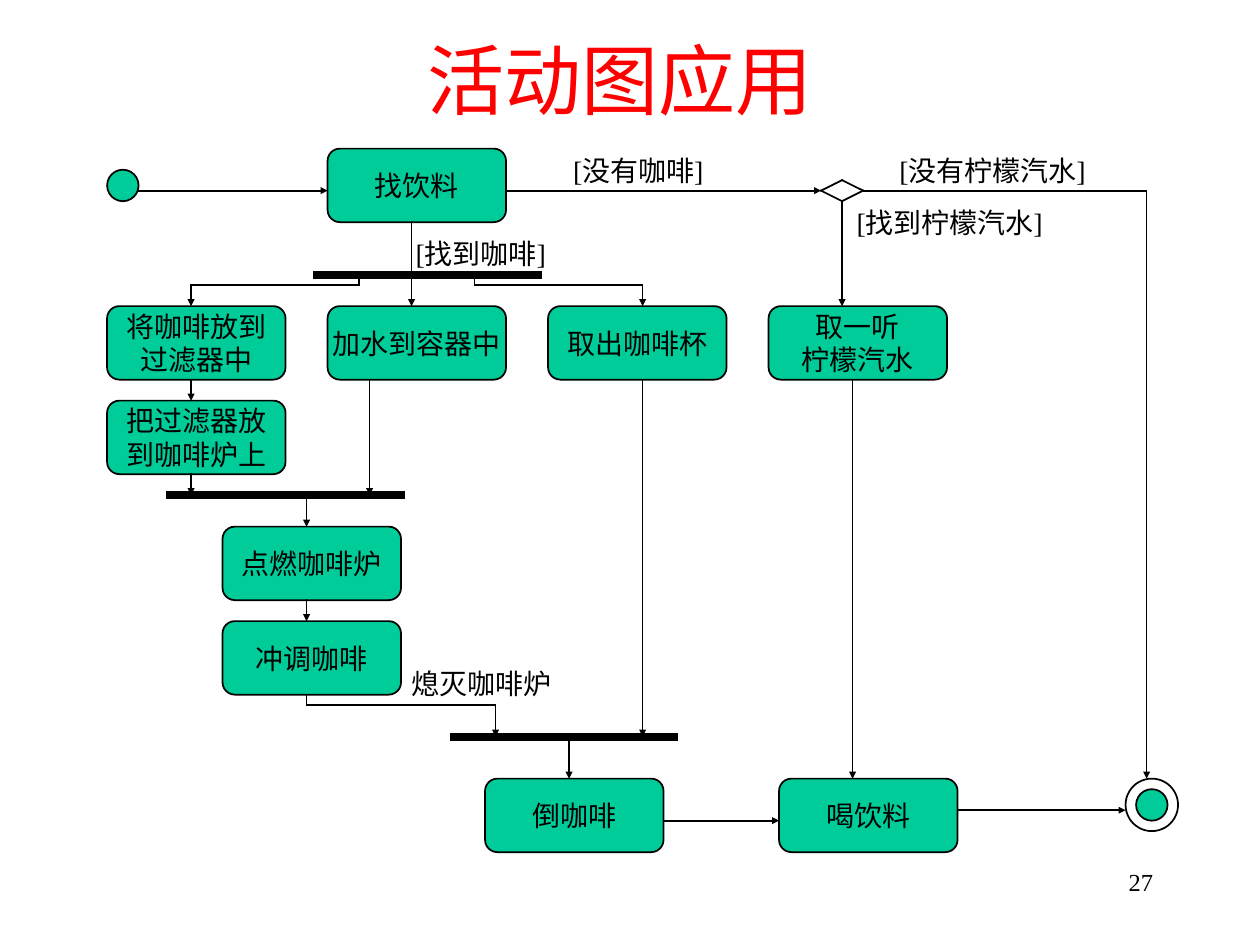
"""Build the activity diagram slide on a grid of twelfths of an inch."""
from itertools import pairwise
from lxml.etree import SubElement
from pptx import Presentation
from pptx.dml.color import RGBColor
from pptx.enum.shapes import MSO_CONNECTOR as Link, MSO_SHAPE as Shape
from pptx.enum.text import MSO_ANCHOR as Anchor, MSO_AUTO_SIZE as Fit, PP_ALIGN as Align
from pptx.oxml.ns import qn
from pptx.util import Inches, Pt

TITLE = "活动图应用"
STEPS = [
    ("找饮料", 21, 0),
    ("将咖啡放到\n过滤器中", 0, 15),
    ("加水到容器中", 21, 15),
    ("取出咖啡杯", 42, 15),
    ("取一听\n柠檬汽水", 63, 15),
    ("把过滤器放\n到咖啡炉上", 0, 24),
    ("点燃咖啡炉", 11, 36),
    ("冲调咖啡", 11, 45),
    ("倒咖啡", 36, 60),
    ("喝饮料", 64, 60),
]
BARS = [(20, 41, 12), (6, 28, 33), (33, 54, 56)]
DIAMOND = [(68, 4), (70, 3), (72, 4), (70, 5), (68, 4)]
FLOWS = [
    [(3, 4), (21, 4)],
    [(38, 4), (68, 4)],
    [(72, 4), (99, 4), (99, 60)],
    [(70, 5), (70, 15)],
    [(29, 7), (29, 15)],
    [(24, 12), (24, 13), (8, 13), (8, 15)],
    [(35, 12), (35, 13), (51, 13), (51, 15)],
    [(8, 22), (8, 24)],
    [(8, 31), (8, 33)],
    [(25, 22), (25, 33)],
    [(19, 33), (19, 36)],
    [(19, 43), (19, 45)],
    [(19, 52), (19, 53), (37, 53), (37, 56)],
    [(51, 22), (51, 56)],
    [(44, 56), (44, 60)],
    [(53, 64), (64, 64)],
    [(71, 22), (71, 60)],
    [(81, 63), (97, 63)],
]
DOTS = [(0, 2, 3, "00CC99"), (97, 60, 5, "FFFFFF"), (98, 61, 3, "00CC99")]
LABELS = [
    ("[找到柠檬汽水]", 6.7, 1.58, 1.85),
    ("[没有柠檬汽水]", 7.04, 1.17, 1.85),
    ("[没有咖啡]", 4.45, 1.17, 1.4),
    ("[找到咖啡]", 3.2, 1.83, 1.4),
    ("熄灭咖啡炉", 3.17, 5.24, 1.4),
]
LEFT, TOP, UNIT = 0.85, 1.18, 1 / 12


def tint(code):
    return RGBColor.from_string(code)


def spot(col, row):
    return Inches(LEFT + col * UNIT), Inches(TOP + row * UNIT)


def write(shape, text, size=16, color="000000", align=Align.LEFT, **frame):
    body = shape.text_frame
    body.text = text
    for key, value in frame.items():
        setattr(body, key, value)
    for para in body.paragraphs:
        para.alignment = align
        look = {"name": "Times New Roman", "size": Pt(size)}
        for key, value in look.items():
            setattr(para.runs[0].font, key, value)
        para.runs[0].font.color.rgb = tint(color)


def block(kind, col, row, wide, high, color):
    shape = shapes.add_shape(kind, *spot(col, row), Inches(wide * UNIT), Inches(high * UNIT))
    shape.shadow.inherit = False
    shape.fill.solid()
    shape.fill.fore_color.rgb = tint(color)
    shape.line.color.rgb = tint("000000")
    shape.line.width = Pt(1)
    return shape


def trace(points, width=1, arrow=False):
    for start, end in pairwise(points):
        link = shapes.add_connector(Link.STRAIGHT, *spot(*start), *spot(*end))
        link.line.color.rgb = tint("000000")
        link.line.width = Pt(width)
        props = link.line._get_or_add_ln()
        props.set("cap", "sq")
        if arrow and end == points[-1]:
            SubElement(props, qn("a:tailEnd"), type="triangle", w="sm", len="sm")
        SubElement(props.getparent(), qn("a:effectLst"))


def label(text, left, top, wide, high, **look):
    box = shapes.add_textbox(*map(Inches, (left, top, wide, high)))
    write(box, text, word_wrap=True, auto_size=Fit.NONE, **look)


deck = Presentation()
deck.slide_width, deck.slide_height = Inches(10), Inches(7.5)
shapes = deck.slides.add_slide(deck.slide_layouts[5]).shapes

head = shapes.title
place = {"left": 0.67, "top": 0, "width": 8.5, "height": 1.25}
for key, value in place.items():
    setattr(head, key, Inches(value))
write(head, TITLE, 44, "FF0000", Align.CENTER, vertical_anchor=Anchor.MIDDLE, auto_size=Fit.NONE)

for text, col, row in STEPS:
    step = block(Shape.FLOWCHART_ALTERNATE_PROCESS, col, row, 17, 7, "00CC99")
    write(step, text, align=Align.CENTER, vertical_anchor=Anchor.MIDDLE, word_wrap=False)
for start, end, row in BARS:
    trace([(start, row), (end, row)], 4.5)
trace(DIAMOND)
for points in FLOWS:
    trace(points, arrow=True)
for col, row, size, color in DOTS:
    block(Shape.OVAL, col, row, size, size, color)
for text, left, top, wide in LABELS:
    label(text, left, top, wide, 0.37)
label("27", 7.17, 6.83, 2.08, 0.5, size=14, align=Align.RIGHT)

deck.save("out.pptx")
